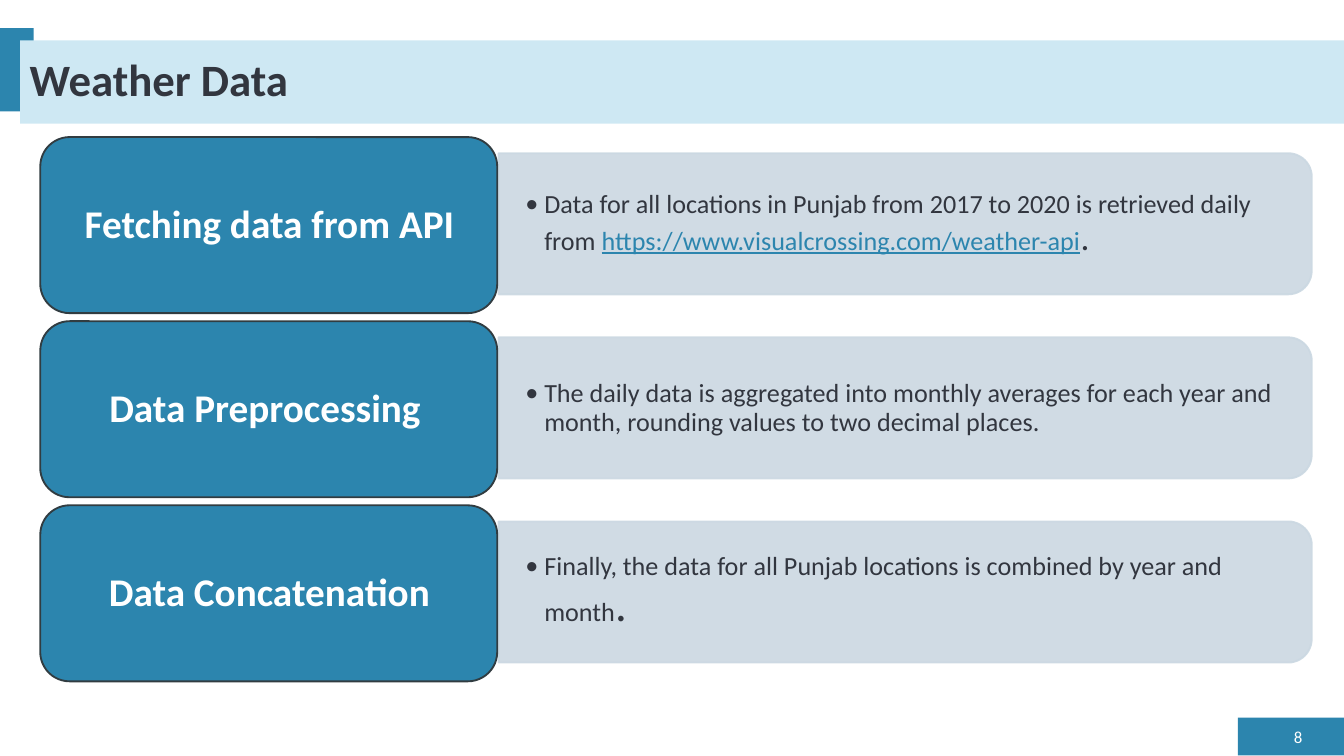
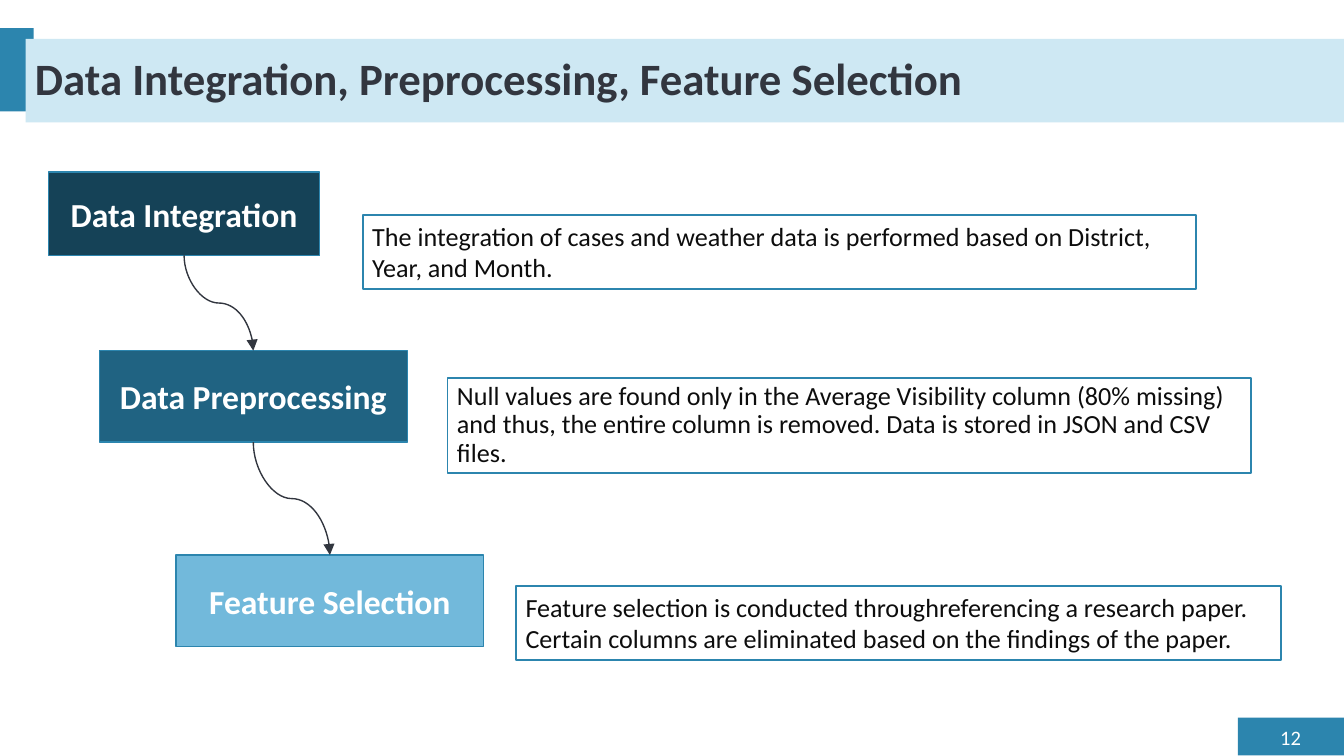
from lxml import etree
from pptx import Presentation
from pptx.dml.color import RGBColor
from pptx.enum.shapes import MSO_CONNECTOR, MSO_SHAPE
from pptx.enum.text import MSO_ANCHOR, MSO_AUTO_SIZE, PP_ALIGN
from pptx.oxml.ns import qn
from pptx.util import Inches, Pt

RECTANGLE = MSO_SHAPE.RECTANGLE
ROUNDED = MSO_SHAPE.ROUNDED_RECTANGLE
TOP_ROUNDED = MSO_SHAPE.ROUND_2_SAME_RECTANGLE
CURVE = MSO_CONNECTOR.CURVE
LEFT, CENTER, RIGHT = PP_ALIGN.LEFT, PP_ALIGN.CENTER, PP_ALIGN.RIGHT
TOP, MIDDLE = MSO_ANCHOR.TOP, MSO_ANCHOR.MIDDLE
GROW = MSO_AUTO_SIZE.SHAPE_TO_FIT_TEXT

FONT = "Calibri"
BLUE = RGBColor(0x2C, 0x85, 0xAE)
PALE_BLUE = RGBColor(0xCE, 0xE8, 0xF3)
NAVY = RGBColor(0x15, 0x42, 0x57)
DEEP_BLUE = RGBColor(0x20, 0x63, 0x82)
SKY = RGBColor(0x72, 0xB9, 0xDB)
STRIP_GREY = RGBColor(0xCB, 0xD8, 0xE2)
CARD_EDGE = RGBColor(0x31, 0x3C, 0x41)
INK = RGBColor(0x32, 0x36, 0x3F)
NEAR_BLACK = RGBColor(0x0D, 0x0D, 0x0D)
WHITE = RGBColor(0xFF, 0xFF, 0xFF)

BODY_INSETS = (0.07, 0.04)
TITLE_FORMAT = {"size": Pt(24), "color": INK, "bold": True}
CARD_FORMAT = {"size": Pt(21), "color": WHITE, "bold": True}
STEP_FORMAT = {"size": Pt(18), "color": WHITE, "bold": True}
BULLET_FORMAT = {"size": Pt(14), "color": INK}
NOTE_FORMAT = {"size": Pt(14), "color": NEAR_BLACK}

# Each bullet is a list of runs: text and what differs from BULLET_FORMAT.
WEATHER_ROWS = [
    ("Fetching data from API", [
        ("Data for all locations in Punjab from 2017 to 2020 is retrieved daily from ", {}),
        ("https://www.visualcrossing.com/weather-api", {"color": BLUE, "underline": True}),
        (".", {"size": Pt(19)}),
    ]),
    ("Data Preprocessing ", [
        ("The daily data is aggregated into monthly averages for each year and month, "
         "rounding values to two decimal places.", {}),
    ]),
    ("Data Concatenation", [
        ("Finally, the data for all Punjab locations is combined by year and month", {}),
        (".", {"size": Pt(25)}),
    ]),
]
ROW_PITCH = 1.37

# Step label, its place and fill; note text, its place and line spacing.
STEPS = [
    ("Data Integration", (0.36, 1.28, 2.02, 0.62), NAVY,
     "The integration of cases and weather data is performed based on District, "
     "Year, and Month.", (2.7, 1.6, 6.2, 0.55), 1.0),
    ("Data Preprocessing", (0.74, 2.61, 2.29, 0.68), DEEP_BLUE,
     "Null values are found only in the Average Visibility column (80% missing) and "
     "thus, the entire column is removed. Data is stored in JSON and CSV files.",
     (3.33, 2.81, 5.98, 0.71), 0.9),
    ("Feature Selection", (1.31, 4.13, 2.29, 0.68), SKY,
     "Feature selection is conducted throughreferencing a research paper. Certain "
     "columns are eliminated based on the findings of the paper.",
     (3.84, 4.36, 5.69, 0.55), 1.0),
]


def add_box(slide, place, fill, line=None, line_width=1, kind=RECTANGLE):
    shape = slide.shapes.add_shape(kind, *map(Inches, place))
    shape.shadow.inherit = False
    shape.fill.solid()
    shape.fill.fore_color.rgb = fill
    if line is None:
        shape.line.fill.background()
    else:
        shape.line.color.rgb = line
        shape.line.width = Pt(line_width)
    return shape


def write(shape, runs, base, align=LEFT, anchor=MIDDLE, insets=BODY_INSETS, spacing=1.0):
    """Fill the shape with one paragraph of (text, overrides) runs and return it."""
    frame = shape.text_frame
    horizontal, vertical = map(Inches, insets)
    frame_format = {
        "word_wrap": True, "vertical_anchor": anchor,
        "margin_left": horizontal, "margin_right": horizontal,
        "margin_top": vertical, "margin_bottom": vertical,
    }
    for name, value in frame_format.items():
        setattr(frame, name, value)
    paragraph = frame.paragraphs[0]
    paragraph.alignment = align
    paragraph.line_spacing = spacing
    for text, overrides in runs:
        run = paragraph.add_run()
        run.text = text
        run_format = {"name": FONT, **base, **overrides}
        run.font.color.rgb = run_format.pop("color")
        for name, value in run_format.items():
            setattr(run.font, name, value)
    return paragraph


def add_bullet(paragraph, indent, color):
    paragraph.level = 1
    properties = paragraph._p.get_or_add_pPr()
    properties.set("marL", str(Inches(indent)))
    properties.set("indent", str(-Inches(indent)))
    bullet_color = etree.SubElement(properties, qn("a:buClr"))
    etree.SubElement(bullet_color, qn("a:srgbClr"), val=str(color))
    etree.SubElement(properties, qn("a:buFont"), typeface=FONT)
    etree.SubElement(properties, qn("a:buChar"), char="•")


def set_opacity(shape, percent):
    """Apply the opacity to both fill and line."""
    for color in shape._element.spPr.iter(qn("a:srgbClr")):
        etree.SubElement(color, qn("a:alpha"), val=str(percent * 1000))


def add_base_slide(presentation, title, title_left, title_top):
    slide = presentation.slides.add_slide(presentation.slide_layouts[6])
    add_box(slide, (9.21, 5.34, 0.79, 0.28), BLUE)
    add_box(slide, (0, 0.21, 0.25, 0.62), BLUE)
    band = add_box(slide, (title_left, title_top, 10 - title_left, 0.62), PALE_BLUE)
    write(band, [(title, {})], TITLE_FORMAT, spacing=0.9)
    return slide


def add_slide_number(slide, number, place, size):
    box = slide.shapes.add_textbox(*map(Inches, place))
    write(box, [(number, {})], {"size": Pt(size), "color": WHITE}, RIGHT)


def add_weather_row(slide, index, label, bullet_runs):
    offset = index * ROW_PITCH
    left, top, width, height = 3.71, 1.14 + offset, 6.05, 1.05
    # The strip stands upright before its quarter turn about the same centre.
    shift = (width - height) / 2
    strip = add_box(slide, (left + shift, top - shift, height, width),
                    STRIP_GREY, STRIP_GREY, kind=TOP_ROUNDED)
    strip.rotation = 90
    set_opacity(strip, 90)
    detail = slide.shapes.add_textbox(*map(Inches, (left, 1.2 + offset, 6, 0.94)))
    paragraph = write(detail, bullet_runs, BULLET_FORMAT, insets=(0.2, 0.1), spacing=0.9)
    add_bullet(paragraph, 0.14, INK)
    card = add_box(slide, (0.3, 1.02 + offset, 3.4, 1.31), BLUE, CARD_EDGE, kind=ROUNDED)
    card_text = slide.shapes.add_textbox(*map(Inches, (0.37, 1.09 + offset, 3.27, 1.18)))
    card.name = f"Card {index + 1}"
    write(card_text, [(label, {})], CARD_FORMAT, CENTER, insets=(0.09, 0.04), spacing=0.9)


def add_curved_arrow(slide, upper, lower):
    """Join the bottom of one box to the top of the next with an S-curve."""
    start_x, start_y = upper.left + upper.width // 2, upper.top + upper.height
    end_x, end_y = lower.left + lower.width // 2, lower.top
    arrow = slide.shapes.add_connector(CURVE, start_x, start_y, end_x, end_y)
    arrow.begin_connect(upper, 2)
    arrow.end_connect(lower, 0)
    # A turned and flipped frame makes the curve leave and arrive vertically.
    across, down = end_x - start_x, end_y - start_y
    arrow.left = (start_x + end_x - down) // 2
    arrow.top = (start_y + end_y - across) // 2
    arrow.width, arrow.height = down, across
    properties = arrow._element.spPr
    frame = properties.find(qn("a:xfrm"))
    frame.set("rot", str(270 * 60000))
    frame.set("flipH", "1")
    arrow.line.color.rgb = INK
    arrow.line.width = Pt(0.75)
    etree.SubElement(properties.find(qn("a:ln")), qn("a:tailEnd"), type="triangle")
    etree.SubElement(properties, qn("a:effectLst"))


def build_weather_slide(presentation):
    slide = add_base_slide(presentation, "Weather Data", 0.15, 0.3)
    for index, (label, bullet_runs) in enumerate(WEATHER_ROWS):
        add_weather_row(slide, index, label, bullet_runs)
    add_slide_number(slide, "8", (9.45, 5.4, 0.31, 0.17), 9)


def build_steps_slide(presentation):
    slide = add_base_slide(
        presentation, "Data Integration, Preprocessing, Feature Selection", 0.19, 0.29)
    add_slide_number(slide, "12", (9.24, 5.4, 0.51, 0.17), 11)
    boxes = []
    for label, place, fill, note_text, note_place, spacing in STEPS:
        box = add_box(slide, place, fill, BLUE, 0.75)
        write(box, [(label, {})], STEP_FORMAT, CENTER)
        boxes.append(box)
        note = add_box(slide, note_place, WHITE, BLUE)
        write(note, [(note_text, {})], NOTE_FORMAT, anchor=TOP, spacing=spacing)
        note.text_frame.auto_size = GROW
    for upper, lower in zip(boxes, boxes[1:]):
        add_curved_arrow(slide, upper, lower)


def main():
    presentation = Presentation()
    presentation.slide_width = Inches(10)
    presentation.slide_height = presentation.slide_width * 9 // 16
    build_weather_slide(presentation)
    build_steps_slide(presentation)
    presentation.save("out.pptx")


if __name__ == "__main__":
    main()
